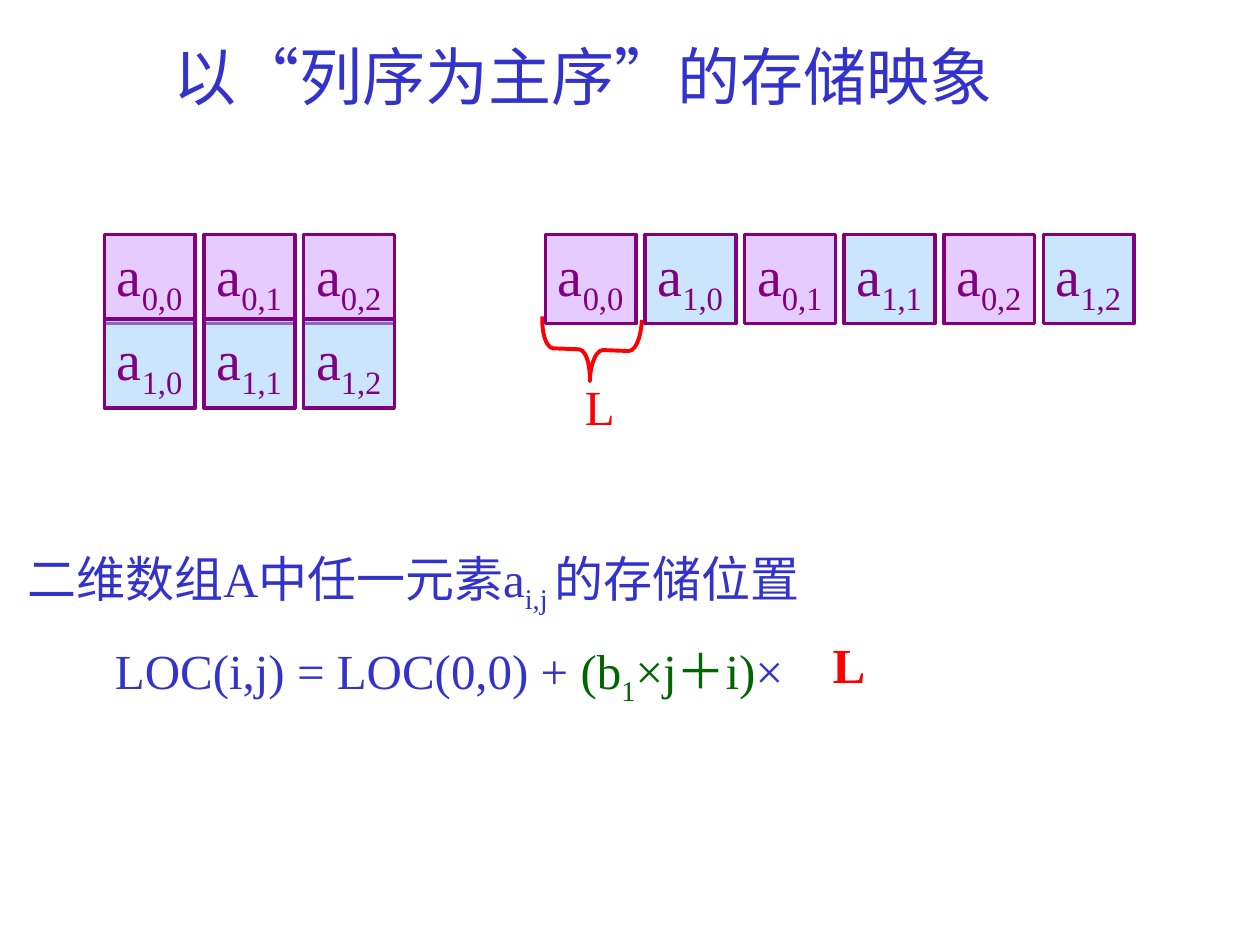
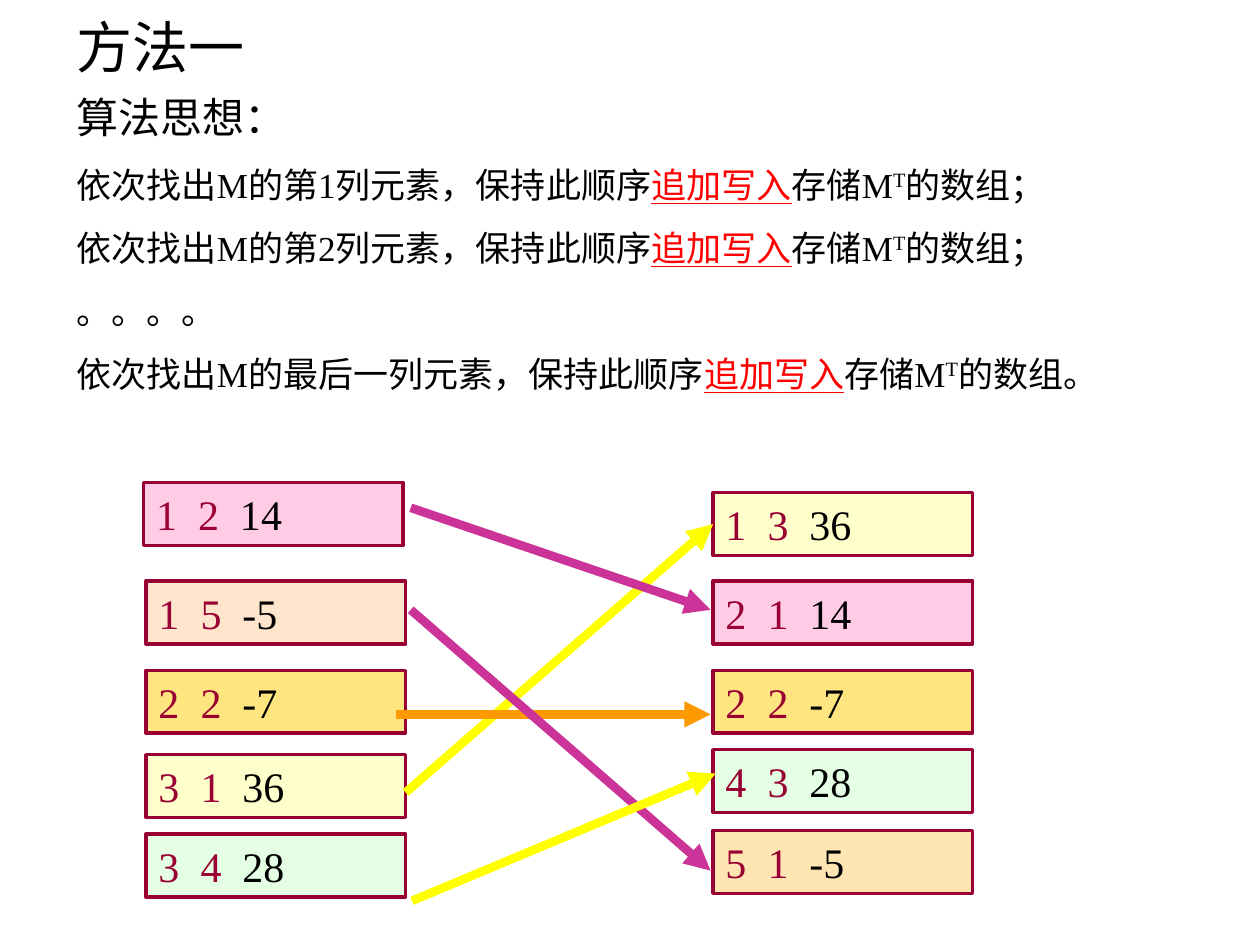
from lxml import etree
from pptx import Presentation
from pptx.dml.color import RGBColor
from pptx.enum.shapes import MSO_CONNECTOR, MSO_SHAPE
from pptx.enum.text import MSO_ANCHOR, MSO_AUTO_SIZE, PP_ALIGN
from pptx.oxml.ns import qn
from pptx.util import Emu, Pt

PX = 9144
FONT = "Times New Roman"
RECT, BRACE = MSO_SHAPE.RECTANGLE, MSO_SHAPE.LEFT_BRACE
STRAIGHT = MSO_CONNECTOR.STRAIGHT
TOP, FIT = MSO_ANCHOR.TOP, MSO_AUTO_SIZE.SHAPE_TO_FIT_TEXT
LEFT, CENTER = PP_ALIGN.LEFT, PP_ALIGN.CENTER
LEFT_SIDE = 1
SUB, SUPER = {"baseline": "-25000"}, {"baseline": "30000"}
UNDERLINED, BOLD = {"u": "sng"}, {"b": "1"}

COLORS = {
    "blue": "3333CC", "green": "006600", "red": "FF0000", "black": "000000",
    "purple": "800080", "lilac": "CC99FF", "sky": "99CCFF",
    "maroon": "990033", "pink": "FF99CC", "peach": "FFCC99", "gold": "FFCC00",
    "cream": "FFFF99", "mint": "CCFFCC", "apricot": "FFCC66",
    "yellow": "FFFF00", "magenta": "CC3399", "orange": "FF9900",
}


def px(*lengths):
    """Turn px lengths into EMU."""
    return [Emu(length * PX) for length in lengths]


def rgb(name):
    """Look up a named colour."""
    return RGBColor.from_string(COLORS[name])


def write(para, size, color, *spans, align=LEFT, tabs=()):
    """Fill a paragraph with (text, colour, attributes) spans."""
    para.alignment = align
    if tabs:
        tab_list = etree.SubElement(para._p.get_or_add_pPr(), qn("a:tabLst"))
        for stop in tabs:
            etree.SubElement(tab_list, qn("a:tab"), pos=str(Pt(stop)), algn="l")
    para.font.name, para.font.size = FONT, Pt(size)
    para.font.color.rgb = rgb(color)
    for text, span_color, attributes in spans:
        span = para.add_run()
        span.text = text
        if span_color != color:
            span.font.color.rgb = rgb(span_color)
        for key, value in attributes.items():
            span._r.get_or_add_rPr().set(key, value)


def set_frame(shape, wrap):
    """Give a shape a top-anchored text frame that grows with its text."""
    frame = shape.text_frame
    frame.word_wrap, frame.auto_size, frame.vertical_anchor = wrap, FIT, TOP
    return frame


def add_text(page, box, wrap=True):
    """Add a text box and return its frame."""
    return set_frame(page.shapes.add_textbox(*px(*box)), wrap)


def add_tile(page, box, fill, line, wrap):
    """Add an outlined, half-transparent rectangle."""
    tile = page.shapes.add_shape(RECT, *px(*box))
    tile.shadow.inherit = False
    tile.fill.solid()
    tile.fill.fore_color.rgb = rgb(fill)
    shade = tile._element.spPr.find(qn("a:solidFill")).find(qn("a:srgbClr"))
    etree.SubElement(shade, qn("a:alpha"), val="50000")
    tile.line.color.rgb, tile.line.width = rgb(line), Pt(2)
    set_frame(tile, wrap)
    return tile


def add_element(page, left, top, row, column):
    """Add one array element, coloured by its row."""
    tile = add_tile(page, (left, top, 72, 71), ("lilac", "sky")[row], "purple", False)
    write(tile.text_frame.paragraphs[0], 32, "purple",
          ("a", "purple", {}), (f"{row},{column}", "purple", SUB))


def add_matrix(page, left, top):
    """Draw the two-by-three array."""
    for row in range(2):
        for column in range(3):
            add_element(page, left + 79 * column, top + 67 * row, row, column)


def add_memory(page, left, top):
    """Draw the elements in column order and mark the length of one."""
    for index in range(6):
        column, row = divmod(index, 2)
        add_element(page, left + 79 * index, top, row, column)
    brace = page.shapes.add_shape(BRACE, *px(left + 11, top + 52, 50, 79))
    brace.shadow.inherit = False
    brace.rotation = 272
    brace.adjustments[0] = 0.19
    brace.fill.background()
    brace.line.color.rgb, brace.line.width = rgb("red"), Pt(2.25)
    label = add_text(page, (left + 11, top + 108, 64, 57))
    write(label.paragraphs[0], 28, "red", ("L", "red", {}), align=CENTER)


def add_formula(page, left, top):
    """Write the address formula."""
    frame = add_text(page, (left, top, 670, 164), wrap=False)
    intro, formula = frame.paragraphs[0], frame.add_paragraph()
    intro.line_spacing = formula.line_spacing = 1.25
    formula.space_before = Pt(5)
    formula._p.get_or_add_pPr().set("marL", str(Pt(50)))
    write(intro, 28, "blue", ("二维数组A中任一元素a", "blue", {}),
          ("i,j ", "blue", SUB), ("的存储位置", "blue", {}))
    write(formula, 28, "blue", ("LOC(i,j) = LOC(0,0) + ", "blue", {}),
          ("(b", "green", {}), ("1", "green", SUB), ("×j＋i)", "green", {}),
          ("×", "blue", {}))
    factor = add_text(page, (left + 639, top + 82, 55, 57))
    write(factor.paragraphs[0], 28, "red", ("L", "red", BOLD))


def build_storage_slide(page):
    """Show how an array is stored by columns."""
    title = add_text(page, (128, 25, 670, 70), wrap=False)
    write(title.paragraphs[0], 36, "blue", ("以“列序为主序”的存储映象", "blue", {}))
    add_matrix(page, 83, 186)
    add_memory(page, 433, 186)
    add_formula(page, 12, 417)


def add_idea(page, box):
    """Write the steps of the algorithm."""
    frame = add_text(page, box)
    write(frame.paragraphs[0], 24, "black", ("算法思想：", "black", {}))
    for column, end in (("第1列", "；"), ("第2列", "；"), (None, ""), ("最后一列", "。")):
        para = frame.add_paragraph()
        para.space_before = Pt(12)
        if column is None:
            write(para, 20, "black", ("。。。。", "black", {}))
            continue
        write(para, 20, "black",
              (f"依次找出M的{column}元素，保持此顺序", "black", {}),
              ("追加写入", "red", UNDERLINED), ("存储M", "black", {}),
              ("T", "black", SUPER), (f"的数组{end}", "black", {}))


def add_triples(page, rows):
    """Draw a column of row, column and value triples."""
    tiles = []
    for left, top, fill, row, column, value in rows:
        tile = add_tile(page, (left, top, 206, 50), fill, "maroon", True)
        write(tile.text_frame.paragraphs[0], 24, "maroon",
              (f"{row}\t{column}\t", "maroon", {}), (str(value), "black", {}),
              tabs=(24, 48))
        tiles.append(tile)
    return tiles


def add_arrow(page, ends, color):
    """Draw a thick arrow between two points."""
    arrow = page.shapes.add_connector(STRAIGHT, *px(*ends))
    arrow.line.color.rgb, arrow.line.width = rgb(color), Pt(5)
    etree.SubElement(arrow.line._get_or_add_ln(), qn("a:tailEnd"), type="triangle")
    etree.SubElement(arrow._element.spPr, qn("a:effectLst"))
    return arrow


def build_transpose_slide(page):
    """Show the first way to transpose a sparse matrix."""
    title = add_text(page, (51, 5, 197, 64))
    write(title.paragraphs[0], 32, "black", ("方法一", "black", {}))
    add_idea(page, (51, 68, 874, 250))
    add_triples(page, (
        (114, 383, "pink", 1, 2, 14), (116, 461, "peach", 1, 5, -5),
        (116, 532, "gold", 2, 2, -7), (116, 599, "cream", 3, 1, 36),
        (116, 662, "mint", 3, 4, 28)))
    transposed = add_triples(page, (
        (566, 391, "cream", 1, 3, 36), (566, 461, "pink", 2, 1, 14),
        (566, 532, "gold", 2, 2, -7), (566, 595, "mint", 4, 3, 28),
        (566, 659, "apricot", 5, 1, -5)))
    first = add_arrow(page, (322, 629, 566, 416), "yellow")
    first.end_connect(transposed[0], LEFT_SIDE)
    for ends, color in (((326, 403, 564, 484), "magenta"),
                        ((314, 567, 564, 567), "orange"),
                        ((326, 484, 564, 691), "magenta"),
                        ((327, 715, 568, 614), "yellow")):
        add_arrow(page, ends, color)


def main():
    """Build the deck and save it."""
    deck = Presentation()
    deck.slide_width, deck.slide_height = px(1000, 750)
    for build in (build_storage_slide, build_transpose_slide):
        build(deck.slides.add_slide(deck.slide_layouts[6]))
    deck.save("out.pptx")


if __name__ == "__main__":
    main()
